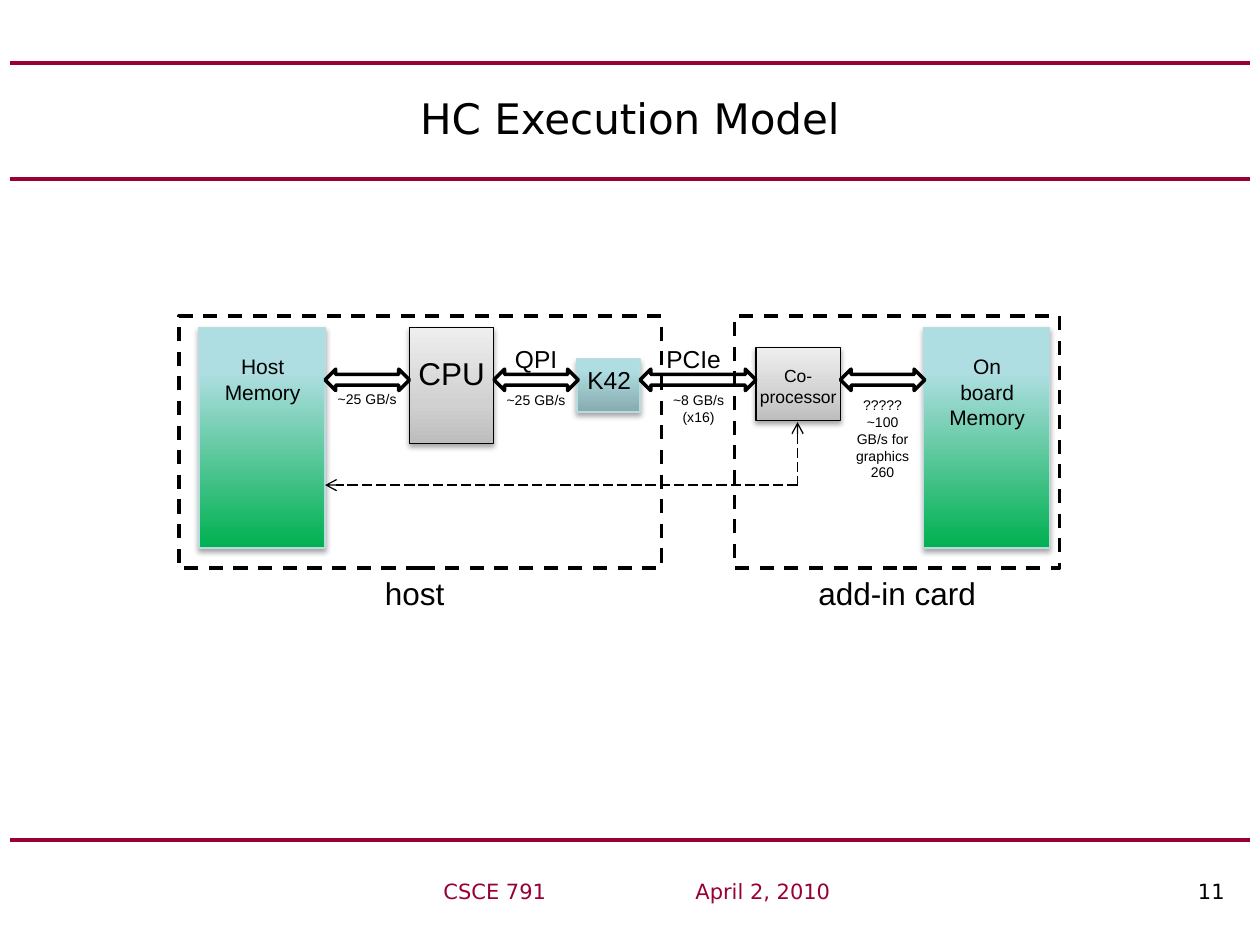
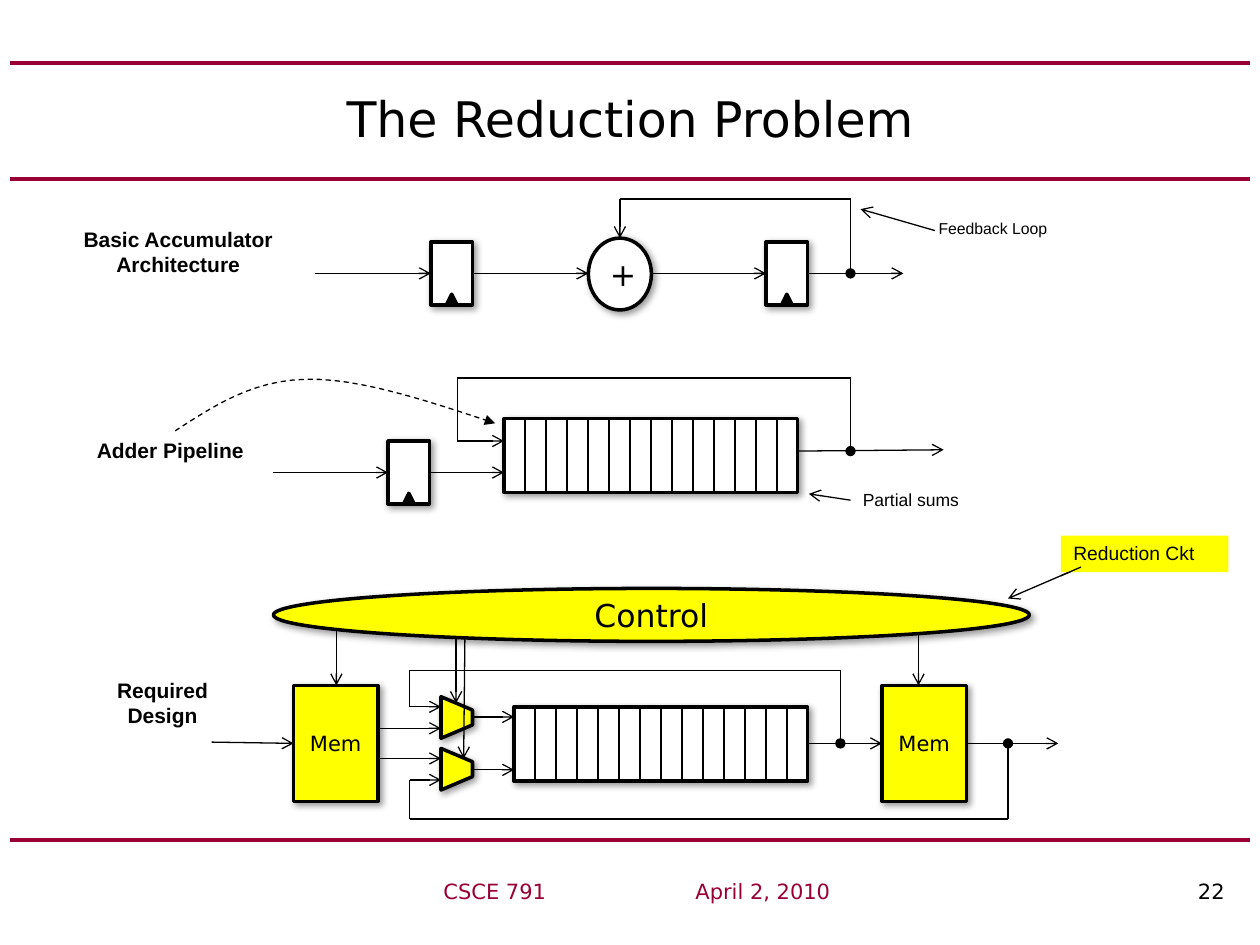
from lxml import etree
from pptx import Presentation, oxml
from pptx.dml.color import RGBColor
from pptx.enum import dml, shapes, text
from pptx.oxml import ns
from pptx.util import Inches, Pt

BLACK = RGBColor(0x00, 0x00, 0x00)
WHITE = RGBColor(0xFF, 0xFF, 0xFF)
GARNET = RGBColor(0x99, 0x00, 0x33)
YELLOW = RGBColor(0xFF, 0xFF, 0x00)
ICE = RGBColor(0xB6, 0xDC, 0xDF)

# Gradient stops (percent, colour), running from bottom to top
GREY = [(0, "BDBDBD"), (35, "D1D1D1"), (100, "EEEEEE")]
TEAL = [(0, "87ABAE"), (80, "AFDEE2"), (100, "AFE0E4")]
GREEN = [(0, "00B050"), (80, "AFDEE2"), (100, "AFE0E4")]

# Shadows: opacity percent, blur, distance, angle
SOFT = (35, 3.1, 1.8, 90)
CAST = (40, 4, 2, 45)

ARIAL, SANS = "Arial", "DejaVu Sans"
KIND = shapes.MSO_SHAPE
RECT = KIND.RECTANGLE
LEFT, MID = text.PP_ALIGN.LEFT, text.PP_ALIGN.CENTER
TOP, CENTER = text.MSO_ANCHOR.TOP, text.MSO_ANCHOR.MIDDLE
DASH, LONG = dml.MSO_LINE.DASH, dml.MSO_LINE.LONG_DASH
A_NS = 'xmlns:a="http://schemas.openxmlformats.org/drawingml/2006/main"'


def box(page, kind, x, y, w, h, words="", size=12, font=ARIAL, ink=BLACK,
        bold=False, align=MID, anchor=TOP, fill=None, line=None, width=2,
        dash=None, shade=None):
    """Add a preset shape, or a text box when kind is None."""
    place = [Inches(v) for v in (x, y, w, h)]
    if kind is None:
        item = page.shapes.add_textbox(*place)
    else:
        item = page.shapes.add_shape(kind, *place)
        item.shadow.inherit = False
        props = item.element.spPr
        if isinstance(fill, list):
            item.fill.background()
            stops = "".join(f'<a:gs pos="{at * 1000}"><a:srgbClr val="{tone}"/></a:gs>'
                            for at, tone in fill)
            blend = oxml.parse_xml(f'<a:gradFill {A_NS} rotWithShape="1"><a:gsLst>{stops}'
                                   '</a:gsLst><a:lin ang="16200000" scaled="0"/></a:gradFill>')
            props.replace(props.find(ns.qn("a:noFill")), blend)
        elif fill is None:
            item.fill.background()
        else:
            item.fill.solid()
            item.fill.fore_color.rgb = fill
        if line is None:
            item.line.fill.background()
        else:
            item.line.color.rgb = line
            item.line.width = Pt(width)
            if dash:
                item.line.dash_style = dash
        if shade:
            alpha, blur, dist, turn = shade
            props.find(ns.qn("a:effectLst")).append(oxml.parse_xml(
                f'<a:outerShdw {A_NS} blurRad="{Pt(blur)}" dist="{Pt(dist)}" '
                f'dir="{turn * 60000}" rotWithShape="0"><a:srgbClr val="000000">'
                f'<a:alpha val="{alpha * 1000}"/></a:srgbClr></a:outerShdw>'))
    if words:
        frame = item.text_frame
        frame.word_wrap = True
        frame.vertical_anchor = anchor
        for i, part in enumerate(words.split("\n")):
            para = frame.add_paragraph() if i else frame.paragraphs[0]
            para.alignment = align
            run = para.add_run()
            run.text = part
            run.font.size, run.font.name, run.font.bold = Pt(size), font, bold
            run.font.color.rgb = ink
    return item


def wire(page, *points, head=None, tail=None, ink=BLACK, width=0.75, dash=None):
    """Join the points with straight connectors, with optional end marks."""
    last = len(points) - 2
    for i, (start, stop) in enumerate(zip(points, points[1:])):
        link = page.shapes.add_connector(shapes.MSO_CONNECTOR.STRAIGHT,
                                         *[Inches(v) for v in start + stop])
        link.line.color.rgb = ink
        link.line.width = Pt(width)
        if dash:
            link.line.dash_style = dash
        props = link.element.spPr
        stroke = props.find(ns.qn("a:ln"))
        if head and i == 0:
            etree.SubElement(stroke, ns.qn("a:headEnd"), type=head)
        if tail and i == last:
            etree.SubElement(stroke, ns.qn("a:tailEnd"), type=tail)
        etree.SubElement(props, ns.qn("a:effectLst"))


deck = Presentation()
deck.slide_width, deck.slide_height = Inches(10), Inches(7.5)

# Shared frame: rules, title and footer
pages = []
for title, size, number in (("HC Execution Model", 24, "11"),
                            ("The Reduction Problem", 28, "22")):
    page = deck.slides.add_slide(deck.slide_layouts[6])
    for y in (0.5, 1.42, 6.67):
        wire(page, (0.08, y), (9.92, y), ink=GARNET, width=2.25)
    box(page, None, 0.5, 0.5, 9, 0.87, title, size, SANS, anchor=CENTER)
    foot = box(page, None, 2.83, 6.92, 7, 0.33, "CSCE 791\tApril 2, 2010\t",
               12, SANS, GARNET, align=LEFT)
    foot.text_frame.margin_left = Inches(0.69)
    para = foot.text_frame.paragraphs[0]
    tabs = etree.SubElement(para._p.get_or_add_pPr(), ns.qn("a:tabLst"))
    for at, side in ((2, "l"), (6.2, "r")):
        etree.SubElement(tabs, ns.qn("a:tab"), pos=str(Inches(at)), algn=side)
    run = para.add_run()
    run.text = number
    run.font.size, run.font.name = Pt(12), SANS
    run.font.color.rgb = BLACK
    pages.append(page)
model, reduce = pages

# Model: chips and memories
for x, y, w, h, fill, line in (
        (3.25, 2.6, 0.67, 0.92, GREY, BLACK),
        (4.58, 2.85, 0.5, 0.42, TEAL, ICE),
        (1.58, 2.6, 1, 1.75, GREEN, ICE),
        (6, 2.76, 0.67, 0.58, GREY, BLACK),
        (7.33, 2.6, 1, 1.75, GREEN, ICE)):
    box(model, RECT, x, y, w, h, fill=fill, line=line, width=0.75, shade=SOFT)

# Model: buses
for x, w in ((2.58, 0.67), (3.92, 0.67), (5.08, 0.92), (6.67, 0.67)):
    box(model, KIND.LEFT_RIGHT_ARROW, x, 2.93, w, 0.17, line=BLACK)

# Model: host and card outlines
for x, w in ((5.83, 2.58), (1.42, 3.83)):
    box(model, RECT, x, 2.51, w, 2, line=BLACK, dash=DASH)

# Model: labels
for x, y, w, h, words, size in (
        (3.17, 2.76, 0.83, 0.42, "CPU", 18),
        (4.5, 2.85, 0.67, 0.34, "K42", 14),
        (1.67, 2.76, 0.83, 0.51, "Host Memory", 12),
        (5.92, 2.85, 0.83, 0.44, "Co-processor", 10),
        (3.92, 2.68, 0.67, 0.34, "QPI", 14),
        (5.17, 2.68, 0.67, 0.34, "PCIe", 14),
        (7.42, 2.76, 0.83, 0.71, "On board\nMemory", 12),
        (6.33, 4.51, 1.58, 0.4, "add-in card", 18),
        (2.5, 4.51, 1.58, 0.4, "host", 18),
        (2.58, 3.05, 0.67, 0.37, "~25 GB/s", 8),
        (3.92, 3.06, 0.67, 0.37, "~25 GB/s", 8),
        (5.21, 3.06, 0.67, 0.37, "~8 GB/s (x16)", 8),
        (6.67, 3.1, 0.67, 0.77, "?????\n~100 GB/s for graphics 260", 8)):
    box(model, None, x, y, w, h, words, size)

# Model: path from co-processor to host memory
wire(model, (6.33, 3.35), (6.33, 3.85), (2.58, 3.85),
     head="arrow", tail="arrow", dash=LONG)

# Reduction: clocked registers
for x, y in ((3.42, 1.92), (6.08, 1.92), (3.08, 3.5)):
    box(reduce, RECT, x, y, 0.33, 0.5, fill=WHITE, line=BLACK, shade=CAST)
    box(reduce, KIND.ISOSCELES_TRIANGLE, x + 0.125, y + 0.415, 0.08, 0.08,
        fill=BLACK, line=BLACK)

# Reduction: pipelines of 14 stages
for x, y in ((4, 3.32), (4.08, 5.61)):
    box(reduce, RECT, x, y, 2.33, 0.59, fill=WHITE, line=BLACK, shade=CAST)
    for i in range(1, 14):
        split = x + i / 6
        wire(reduce, (split, y), (split, y + 0.59))

# Reduction: adder, memories and control
for kind, x, y, w, h, words, size, fill in (
        (KIND.OVAL, 4.67, 1.89, 0.5, 0.57, "+", 18, WHITE),
        (RECT, 2.33, 5.44, 0.67, 0.92, "Mem", 12, YELLOW),
        (RECT, 7, 5.44, 0.67, 0.92, "Mem", 12, YELLOW),
        (KIND.OVAL, 2.17, 4.67, 6, 0.42, "Control", 18, YELLOW)):
    box(reduce, kind, x, y, w, h, words, size, SANS, anchor=CENTER,
        fill=fill, line=BLACK, shade=CAST)

# Reduction: multiplexers
for y in (5.57, 5.98):
    mux = box(reduce, KIND.TRAPEZOID, 3.46, y, 0.33, 0.25,
              fill=YELLOW, line=BLACK, shade=CAST)
    mux.rotation = 90
    mux.adjustments[0] = 0.424

# Reduction: plain arrows
for start, stop in (
        # accumulator
        ((2.5, 2.17), (3.42, 2.17)), ((3.75, 2.17), (4.67, 2.17)),
        ((5.17, 2.17), (6.08, 2.17)), ((6.42, 2.17), (7.17, 2.17)),
        # adder pipeline
        ((2.17, 3.75), (3.08, 3.75)), ((3.42, 3.75), (4, 3.75)),
        ((6.33, 3.58), (7.49, 3.57)),
        # required design
        ((1.68, 5.89), (2.33, 5.9)), ((3, 5.78), (3.5, 5.78)),
        ((3, 6.02), (3.5, 6.02)), ((3.75, 5.69), (4.08, 5.69)),
        ((3.75, 6.11), (4.08, 6.11)), ((6.42, 5.9), (7, 5.9)),
        ((7.67, 5.9), (8.4, 5.9)),
        # control signals
        ((2.67, 5), (2.67, 5.44)), ((3.62, 5.06), (3.62, 5.58)),
        ((3.69, 5.06), (3.68, 6.02)), ((7.29, 5.02), (7.29, 5.44)),
        # callouts
        ((6.75, 3.97), (6.42, 3.92)), ((8.58, 4.5), (8, 4.75)),
        ((7.42, 1.83), (6.83, 1.66))):
    wire(reduce, start, stop, tail="arrow")

# Reduction: feedback loops
for loop in (
        ((6.75, 2.17), (6.75, 1.58), (4.92, 1.58), (4.92, 1.89)),
        ((6.75, 3.58), (6.75, 3), (3.63, 3), (3.63, 3.5), (4, 3.5)),
        ((6.67, 5.9), (6.67, 5.32), (3.25, 5.32), (3.25, 5.61), (3.5, 5.61)),
        ((8, 5.9), (8, 6.5), (3.25, 6.5), (3.25, 6.19), (3.5, 6.19))):
    wire(reduce, *loop, head="oval", tail="arrow")

# Reduction: dashed curve from the pipeline label, two cubic spans
dots = []
for span in (((1.39, 3.42), (1.7, 3.22), (2, 3.02), (2.43, 3.01)),
             ((2.43, 3.01), (2.85, 3), (3.39, 3.18), (3.93, 3.36))):
    for i in range(1, 13):
        t = i / 12
        mix = ((1 - t) ** 3, 3 * t * (1 - t) ** 2, 3 * t * t * (1 - t), t ** 3)
        dots.append(tuple(Inches(sum(m * p[k] for m, p in zip(mix, span)))
                          for k in (0, 1)))
path = reduce.shapes.build_freeform(Inches(1.39), Inches(3.42))
path.add_line_segments(dots, close=False)
curve = path.convert_to_shape()
curve.shadow.inherit = False
curve.fill.background()
curve.line.color.rgb = BLACK
curve.line.width = Pt(0.75)
curve.line.dash_style = DASH
etree.SubElement(curve.element.spPr.find(ns.qn("a:ln")), ns.qn("a:tailEnd"), type="triangle")

# Reduction: labels
for x, y, w, h, words, size, bold, align in (
        (0.5, 1.75, 1.83, 0.51, "Basic Accumulator Architecture", 12, True, MID),
        (0.67, 3.42, 1.83, 0.3, "Adder Pipeline", 12, True, LEFT),
        (0.75, 5.33, 1.08, 0.51, "Required Design", 12, True, MID),
        (6.75, 3.83, 1, 0.27, "Partial sums", 10, False, LEFT),
        (7.35, 1.69, 1.08, 0.25, "Feedback Loop", 9, False, LEFT)):
    box(reduce, None, x, y, w, h, words, size, bold=bold, align=align)
box(reduce, RECT, 8.42, 4.25, 1.33, 0.29, "Reduction Ckt", 11, align=LEFT, fill=YELLOW)
wire(reduce, (8.58, 4.5), (8.42, 4.57))

deck.save("out.pptx")
